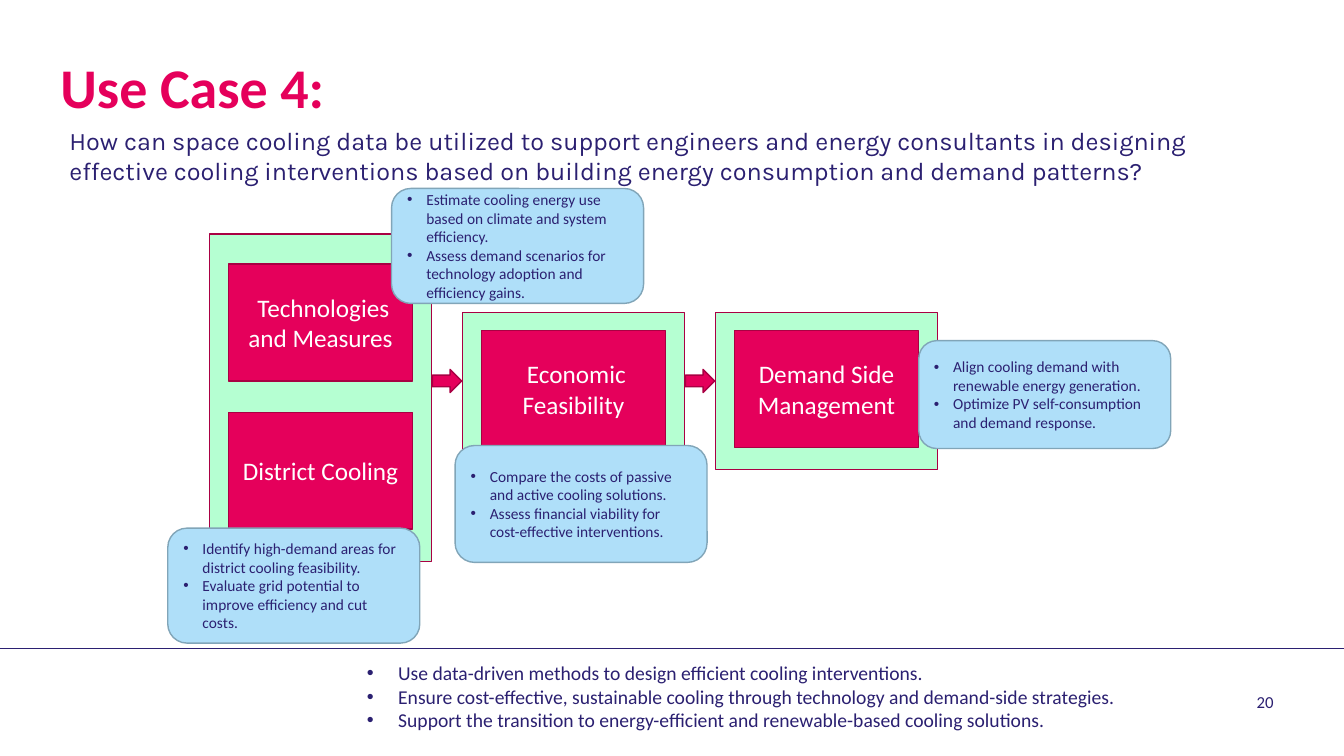
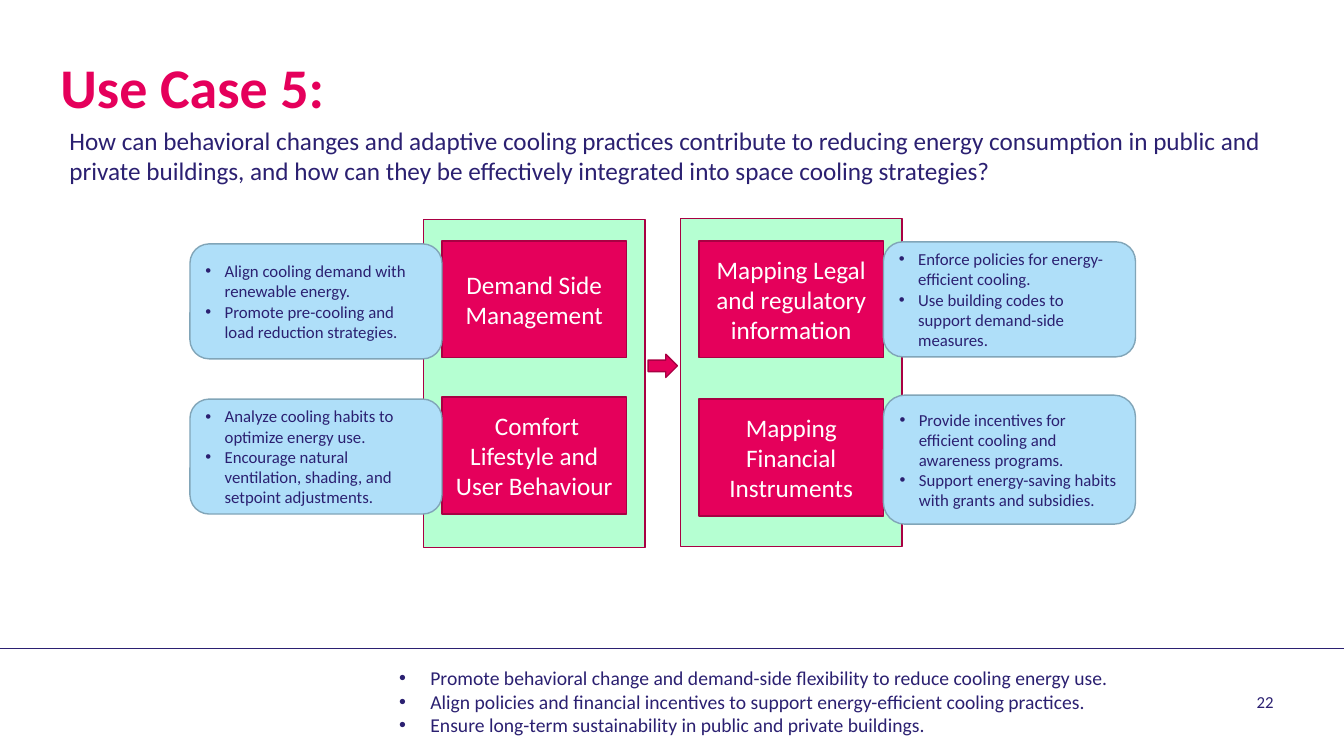
import pptx
import pptx.util
import pptx.dml.color
import pptx.enum.shapes
import pptx.enum.text
import pptx.oxml.ns
import lxml.etree

RGB = pptx.dml.color.RGBColor
KIND = pptx.enum.shapes.MSO_SHAPE
ALIGN = pptx.enum.text.PP_ALIGN
MID = pptx.enum.text.MSO_ANCHOR.MIDDLE
TOP = pptx.enum.text.MSO_ANCHOR.TOP
FIT = pptx.enum.text.MSO_AUTO_SIZE.NONE
qn = pptx.oxml.ns.qn
Pt = pptx.util.Pt

# Colours
PINK = RGB(0xE5, 0x00, 0x5B)
WINE = RGB(0xA9, 0x00, 0x43)
MINT = RGB(0xB5, 0xFF, 0xD2)
SKY = RGB(0xAF, 0xDF, 0xF9)
STEEL = RGB(0x81, 0xA5, 0xB8)
NAVY = RGB(0x2B, 0x20, 0x71)
WHITE = RGB(0xFF, 0xFF, 0xFF)

# Grid: 75 rows high, with square cells
WIDE, HIGH = pptx.util.Emu(12192000), pptx.util.Emu(6858000)
CELL = HIGH / 75
COLS = WIDE / CELL
RULE = 64.3
PANEL, STEP, NOTE = 22, (18.3, 11.6), 25
ARROW = (2.9, 2.3)

# Text formats
HEAD = {"size": Pt(40), "name": "Calibri", "bold": True, "color": PINK}
TEXT = {"size": Pt(18), "name": "Calibri", "bold": False, "color": NAVY}
LABEL = TEXT | {"color": WHITE}
POINT = TEXT | {"size": Pt(14)}
PAGE = TEXT | {"size": Pt(12)}


def cell(num):
    return pptx.util.Emu(round(num * CELL))


def place(shape, box):
    for key, num in zip(("left", "top", "width", "height"), box):
        setattr(shape, key, cell(num))


def style(font, form):
    for key, val in form.items():
        if key == "color":
            font.color.rgb = val
        else:
            setattr(font, key, val)


def write(frame, lines, form, align=ALIGN.LEFT, anchor=MID, dot=0, lead=1.0):
    """Fill a frame; dot is the hanging indent of a bullet, in cells."""
    for key, val in {"word_wrap": True, "auto_size": FIT,
                     "vertical_anchor": anchor}.items():
        setattr(frame, key, val)
    for num, line in enumerate(lines):
        para = frame.add_paragraph() if num else frame.paragraphs[0]
        for key, val in {"alignment": align, "line_spacing": lead,
                         "space_before": Pt(0)}.items():
            setattr(para, key, val)
        run = para.add_run()
        run.text = line
        style(run.font, form)
        if dot:
            prop = para._p.get_or_add_pPr()
            prop.set("marL", str(cell(dot)))
            prop.set("indent", str(-cell(dot)))
            lxml.etree.SubElement(prop, qn("a:buFont"), typeface="Arial")
            lxml.etree.SubElement(prop, qn("a:buChar"), char="•")


def block(slide, kind, box, fill, edge):
    shape = slide.shapes.add_shape(kind, *map(cell, box))
    shape.shadow.inherit = False
    shape.fill.solid()
    shape.fill.fore_color.rgb = fill
    shape.line.color.rgb = edge
    shape.line.width = Pt(1)
    return shape


def label(slide, box, lines, form, **opts):
    shape = slide.shapes.add_textbox(*map(cell, box))
    write(shape.text_frame, lines, form, **opts)


def frame(slide, case):
    """Title, question, rule, closing points and page number."""
    title, body = slide.placeholders[0], slide.placeholders[1]
    place(title, (6, 6, 121.3, 5.9))
    for side in ("left", "right", "top", "bottom"):
        setattr(title.text_frame, "margin_" + side, 0)
    write(title.text_frame, [case["title"]], HEAD, lead=0.9)
    label(slide, (5.9, 11.9, 123, 7.1), [case["ask"]],
          TEXT | {"name": case["font"]}, anchor=TOP)
    # Footer band
    line = slide.shapes.add_connector(
        pptx.enum.shapes.MSO_CONNECTOR.STRAIGHT,
        0, cell(RULE), WIDE, cell(RULE))
    line.line.color.rgb = NAVY
    line.line.width = Pt(0.75)
    lxml.etree.SubElement(line._element.spPr, qn("a:effectLst"))
    place(body, case["foot"])
    write(body.text_frame, case["points"], POINT, anchor=TOP, dot=3.1)
    label(slide, (COLS - 36, RULE, 30, 75 - RULE), [case["page"]], PAGE,
          align=ALIGN.RIGHT)


def panel(slide, box, steps, size):
    """Mint panel with its steps, each step with a note beside it."""
    left, top, wide, high = box
    block(slide, KIND.RECTANGLE, box, MINT, WINE)
    for name, down, (dx, dy, tall), lines in steps:
        x, y = left + (wide - STEP[0]) / 2, top + down
        step = block(slide, KIND.RECTANGLE, (x, y, *STEP), PINK, WINE)
        write(step.text_frame, [name], LABEL, align=ALIGN.CENTER)
        note = block(slide, KIND.ROUNDED_RECTANGLE,
                     (x + dx, y + dy, NOTE, tall), SKY, STEEL)
        write(note.text_frame, lines, TEXT | {"size": Pt(size)}, dot=1.9)


def build(deck, case):
    slide = deck.slides.add_slide(deck.slide_layouts[1])
    frame(slide, case)
    flow = case["flow"]
    for left, top, high, steps in flow:
        panel(slide, (left, top, PANEL, high), steps, case["size"])
    # Arrows sit in the middle of the gaps between panels
    for prev, item in zip(flow, flow[1:]):
        mid = (prev[0] + PANEL + item[0]) / 2
        block(slide, KIND.RIGHT_ARROW,
              (mid - ARROW[0] / 2, case["axis"] - ARROW[1] / 2, *ARROW),
              PINK, WINE)


# Panels: left, top, height, steps
# Steps: name, offset in panel, note (offset from step, height), note text
CASES = [
    {
        "title": "Use Case 4:", "page": "20", "font": "Karla",
        "ask": "How can space cooling data be utilized to support engineers "
               "and energy consultants in designing effective cooling "
               "interventions based on building energy consumption and "
               "demand patterns?",
        "foot": (35.4, 65.1, 81.7, 8.1), "size": 11, "axis": 37.8,
        "points": [
            "Use data-driven methods to design efficient cooling "
            "interventions.",
            "Ensure cost-effective, sustainable cooling through technology "
            "and demand-side strategies.",
            "Support the transition to energy-efficient and renewable-based "
            "cooling solutions."],
        "flow": [
            (20.8, 23.2, 32.5, [
                (" Technologies and Measures", 3, (16.2, -7.5, 11.4), [
                    "Estimate cooling energy use based on climate and "
                    "system efficiency.",
                    "Assess demand scenarios for technology adoption and "
                    "efficiency gains."]),
                ("District Cooling", 17.7, (-6, 11.5, 11.4), [
                    "Identify high-demand areas for district cooling "
                    "feasibility.",
                    "Evaluate grid potential to improve efficiency and cut "
                    "costs."])]),
            (45.9, 31, 15.1, [
                (" Economic Feasibility", 1.8, (-2.6, 11.4, 11.6), [
                    "Compare the costs of passive and active cooling "
                    "solutions.",
                    "Assess financial viability for cost-effective "
                    "interventions."])]),
            (71, 31, 15.6, [
                ("Demand Side Management", 1.8, (18.3, 1, 10.7), [
                    "Align cooling demand with renewable energy generation.",
                    "Optimize PV self-consumption and demand response."])]),
        ],
    },
    {
        "title": "Use Case 5:", "page": "22", "font": "Calibri",
        "ask": "How can behavioral changes and adaptive cooling practices "
               "contribute to reducing energy consumption in public and "
               "private buildings, and how can they be effectively "
               "integrated into space cooling strategies?",
        "foot": (38.6, 65.6, 76.9, 8.1), "size": 12, "axis": 36.3,
        "points": [
            "Promote behavioral change and demand-side flexibility to "
            "reduce cooling energy use.",
            "Align policies and financial incentives to support "
            "energy-efficient cooling practices.",
            "Ensure long-term sustainability in public and private "
            "buildings."],
        "flow": [
            (42, 21.8, 32.5, [
                ("Demand Side Management", 2.1, (-25, 0.3, 11.4), [
                    "Align cooling demand with renewable energy.",
                    "Promote pre-cooling and load reduction strategies."]),
                (" Comfort Lifestyle and User Behaviour", 17.6,
                 (-25, 0.2, 11.4), [
                    "Analyze cooling habits to optimize energy use.",
                    "Encourage natural ventilation, shading, and setpoint "
                    "adjustments."])]),
            (67.5, 21.7, 32.5, [
                ("Mapping Legal and regulatory information", 2.2,
                 (18.3, 0.1, 11.4), [
                    "Enforce policies for energy-efficient cooling.",
                    "Use building codes to support demand-side measures."]),
                ("Mapping Financial Instruments", 17.9,
                 (18.3, -0.4, 12.8), [
                    "Provide incentives for efficient cooling and awareness "
                    "programs.",
                    "Support energy-saving habits with grants and "
                    "subsidies."])]),
        ],
    },
]


def main():
    deck = pptx.Presentation()
    deck.slide_width, deck.slide_height = WIDE, HIGH
    for case in CASES:
        build(deck, case)
    deck.save("out.pptx")


if __name__ == "__main__":
    main()
